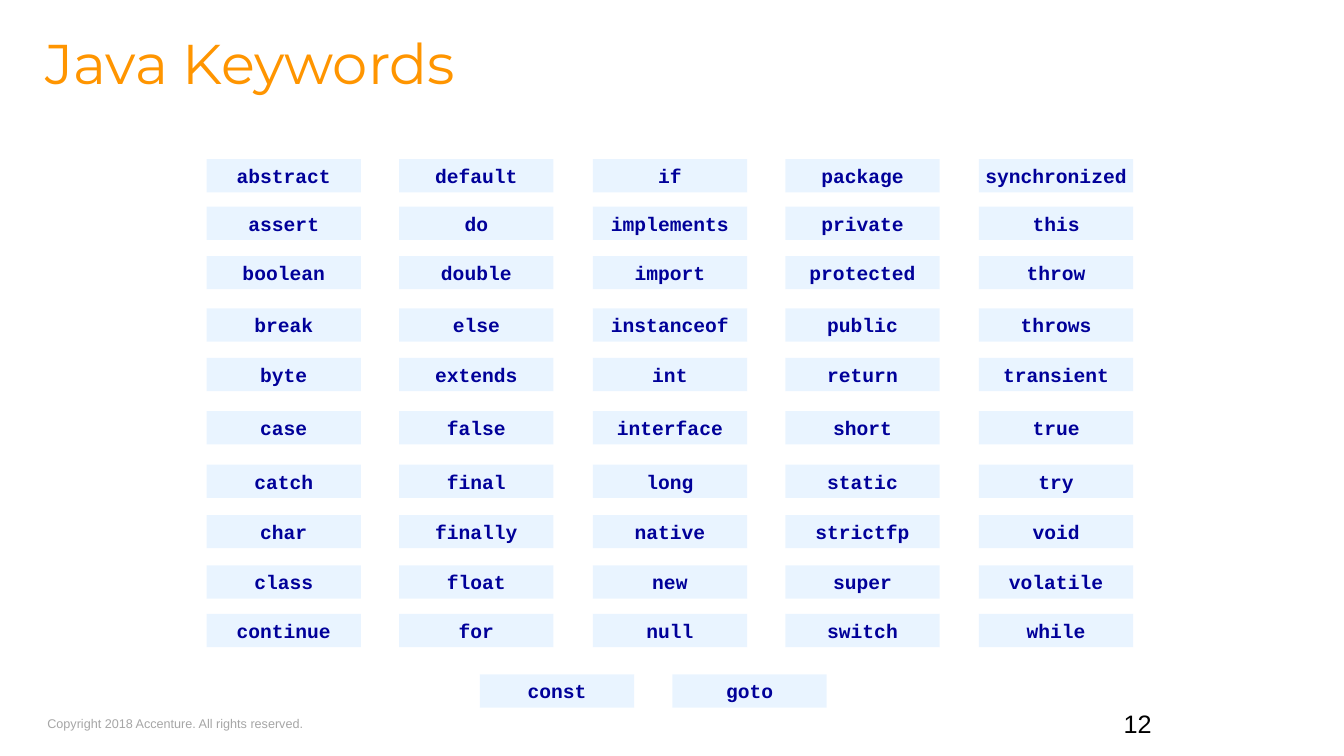
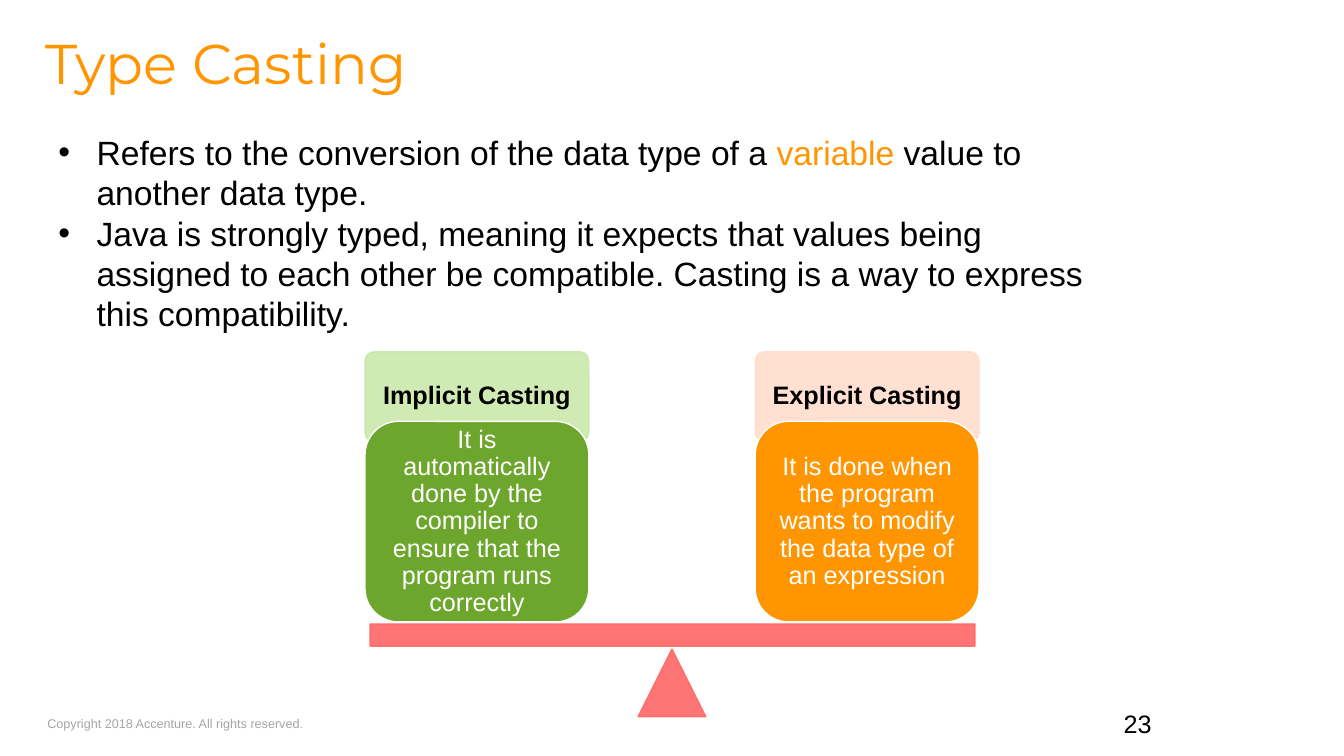
from lxml.etree import SubElement
from pptx import Presentation
from pptx.dml.color import RGBColor
from pptx.enum.shapes import MSO_SHAPE
from pptx.enum.text import MSO_ANCHOR, PP_ALIGN
from pptx.oxml.ns import qn
from pptx.util import Pt

PX = 9144
COLORS = {
    "accent": "FF9500",
    "text": "000000",
    "white": "FFFFFF",
    "footer": "A6A6A6",
    "keyword": "000099",
    "keyword_fill": "D5EAFF",
    "implicit": "6CA62C",
    "implicit_header": "CAE8AA",
    "explicit": "FF9500",
    "explicit_header": "FFDDCC",
    "balance": "FF6666",
}
COPYRIGHT = "Copyright 2018 Accenture. All rights reserved."

KEYWORD_SIZE = (153, 33)
KEYWORD_ROWS = [
    (158, "abstract default if package synchronized"),
    (205, "assert do implements private this"),
    (254, "boolean double import protected throw"),
    (306, "break else instanceof public throws"),
    (355, "byte extends int return transient"),
    (408, "case false interface short true"),
    (461, "catch final long static try"),
    (511, "char finally native strictfp void"),
    (561, "class float new super volatile"),
    (609, "continue for null switch while"),
]
RESERVED_ROW = (669, "const goto")

BULLETS = [
    [
        ("Refers to the conversion of the data type of a ", "text"),
        ("variable", "accent"),
        (" value to another data type.", "text"),
    ],
    [
        (
            "Java is strongly typed, meaning it expects that values being assigned "
            "to each other be compatible. Casting is a way to express this compatibility.",
            "text",
        )
    ],
]
CASTINGS = [
    (
        362,
        "implicit",
        "Implicit Casting",
        "It is automatically done by the compiler to ensure that the program runs correctly",
    ),
    (
        749,
        "explicit",
        "Explicit Casting",
        "It is done when the program wants to modify the data type of an expression",
    ),
]


def scaled(lengths):
    return [length * PX for length in lengths]


def set_frame(shape, insets, anchor, wrap=True):
    frame = shape.text_frame
    frame.word_wrap = wrap
    frame.vertical_anchor = anchor
    horizontal, vertical = scaled(insets)
    frame.margin_left = frame.margin_right = horizontal
    frame.margin_top = frame.margin_bottom = vertical
    return frame


def add_span(para, text, size, color, font="Arial", bold=False):
    span = para.add_run()
    span.text = text
    span.font.name = font
    span.font.size = Pt(size)
    span.font.bold = bold
    span.font.color.rgb = RGBColor.from_string(COLORS[color])


def add_label(page, area, text, size, color, font="Arial", insets=(0, 0),
              anchor=MSO_ANCHOR.TOP, align=PP_ALIGN.LEFT, spacing=None, wrap=True):
    box = page.shapes.add_textbox(*scaled(area))
    para = set_frame(box, insets, anchor, wrap).paragraphs[0]
    para.alignment = align
    if spacing:
        para.line_spacing = spacing
    add_span(para, text, size, color, font)


def set_opacity(color_format, percent):
    color = color_format._xFill.find(qn("a:srgbClr"))
    SubElement(color, qn("a:alpha"), val=str(percent * 1000))


def add_block(page, kind, area, fill, line=None, opacity=100):
    block = page.shapes.add_shape(kind, *scaled(area))
    block.shadow.inherit = False
    block.fill.solid()
    block.fill.fore_color.rgb = RGBColor.from_string(COLORS[fill])
    paints = [block.fill]
    if line:
        block.line.width = Pt(1)
        block.line.color.rgb = RGBColor.from_string(COLORS[line])
        paints.append(block.line.fill)
    else:
        block.line.fill.background()
    if opacity < 100:
        for paint in paints:
            set_opacity(paint.fore_color, opacity)
    return block


def fill_block(block, text, size, color, insets, font="Arial", bold=False, spacing=None):
    para = set_frame(block, insets, MSO_ANCHOR.MIDDLE).paragraphs[0]
    para.alignment = PP_ALIGN.CENTER
    if spacing:
        para.line_spacing = spacing
    add_span(para, text, size, color, font, bold)


def add_page(deck, title, number):
    page = deck.slides.add_slide(deck.slide_layouts[6])
    add_label(page, (47, 705, 257, 25), COPYRIGHT, 9, "footer", insets=(0, 5), wrap=False)
    add_label(page, (967, 708, 185, 30), str(number), 18, "text", insets=(10, 5),
              anchor=MSO_ANCHOR.BOTTOM, align=PP_ALIGN.RIGHT)
    add_label(page, (45, 41, 832, 109), title, 40, "accent", "Montserrat", spacing=0.8)
    return page


def add_keyword_row(page, left, top, words):
    for column, word in enumerate(words.split()):
        area = (left + column * 383 // 2, top, *KEYWORD_SIZE)
        block = add_block(page, MSO_SHAPE.RECTANGLE, area, "keyword_fill", opacity=50)
        fill_block(block, word, 14, "keyword", (0, 2), "Courier New", bold=True)


def add_bullets(page, area, items):
    box = page.shapes.add_textbox(*scaled(area))
    frame = set_frame(box, (10, 5), MSO_ANCHOR.TOP)
    for index, spans in enumerate(items):
        para = frame.add_paragraph() if index else frame.paragraphs[0]
        properties = para._p.get_or_add_pPr()
        properties.set("marL", str(38 * PX))
        properties.set("indent", str(-38 * PX))
        SubElement(properties, qn("a:buFont"), typeface="Arial")
        SubElement(properties, qn("a:buChar"), char="•")
        for text, color in spans:
            add_span(para, text, 24, color)


def add_casting(page, left, kind, heading, description):
    header_fill = f"{kind}_header"
    header = add_block(page, MSO_SHAPE.ROUNDED_RECTANGLE, (left, 349, 222, 89),
                       header_fill, header_fill, 90)
    header.adjustments[0] = 0.1
    fill_block(header, heading, 18, "text", (7, 7), bold=True, spacing=0.9)
    card = add_block(page, MSO_SHAPE.ROUNDED_RECTANGLE, (left, 418, 222, 199), kind, "white")
    fill_block(card, description, 18, "white", (7, 7), spacing=0.9)


def add_balance(page):
    add_block(page, MSO_SHAPE.ISOSCELES_TRIANGLE, (633, 644, 67, 67), "balance", "balance", 90)
    add_block(page, MSO_SHAPE.RECTANGLE, (367, 619, 600, 22), "balance", "balance", 90)


def build_keywords(deck):
    page = add_page(deck, "Java Keywords", 12)
    for top, words in KEYWORD_ROWS:
        add_keyword_row(page, 205, top, words)
    add_keyword_row(page, 476, *RESERVED_ROW)


def build_casting(deck):
    page = add_page(deck, "Type Casting", 23)
    add_bullets(page, (48, 126, 1047, 536), BULLETS)
    add_balance(page)
    for casting in CASTINGS:
        add_casting(page, *casting)


def main():
    deck = Presentation()
    deck.slide_width, deck.slide_height = scaled((1333, 750))
    build_keywords(deck)
    build_casting(deck)
    deck.save("out.pptx")


if __name__ == "__main__":
    main()
